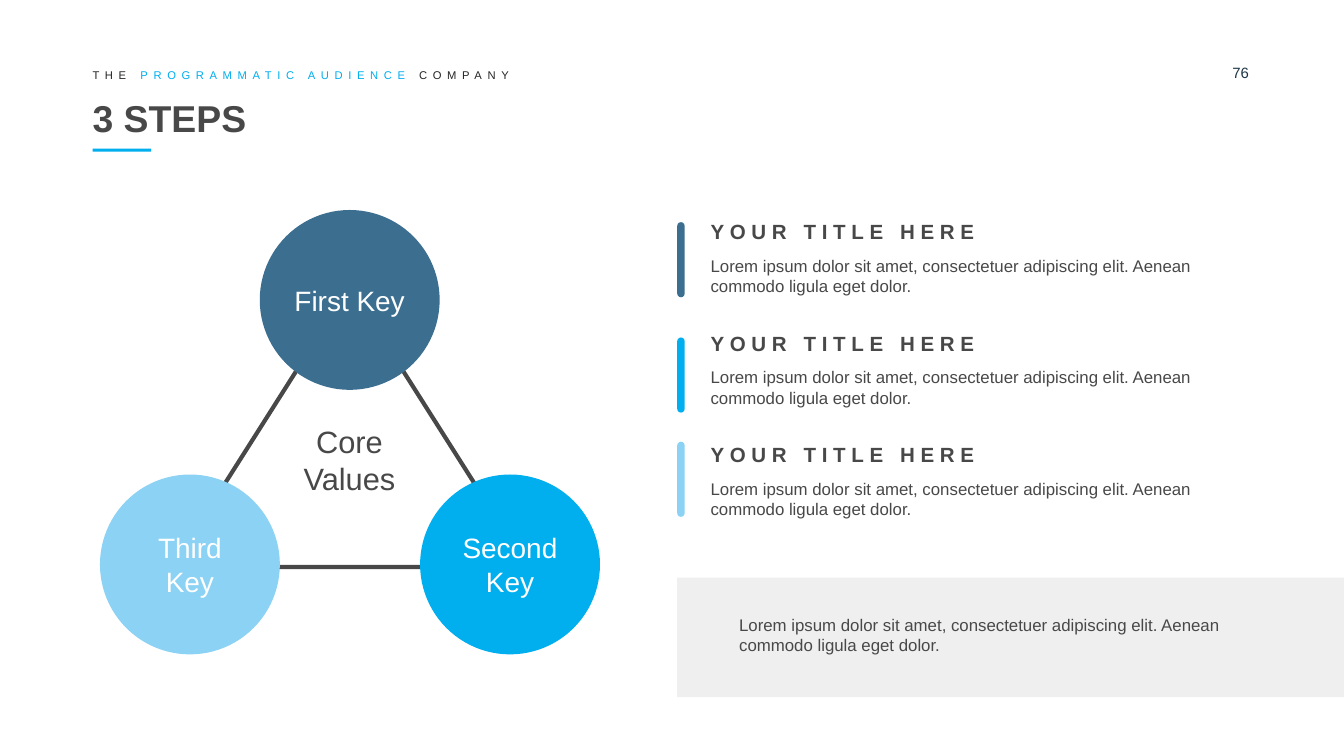
from pptx import Presentation
from pptx.dml.color import RGBColor
from pptx.enum.shapes import MSO_SHAPE
from pptx.enum.text import MSO_ANCHOR, PP_ALIGN
from pptx.oxml.ns import qn
from pptx.util import Cm, Pt
from lxml import etree

RECTANGLE = MSO_SHAPE.RECTANGLE
BAR = MSO_SHAPE.ROUND_2_SAME_RECTANGLE
TRIANGLE = MSO_SHAPE.ISOSCELES_TRIANGLE
OVAL = MSO_SHAPE.OVAL
TOP, MIDDLE = MSO_ANCHOR.TOP, MSO_ANCHOR.MIDDLE
LEFT, CENTER = PP_ALIGN.LEFT, PP_ALIGN.CENTER

FONT = "Arial"
NAVY, CYAN, SKY = "3B6E8F", "01AEEE", "8BD2F4"
DARK, BLACK, WHITE = "484848", "242424", "FFFFFF"
LOREM = ("Lorem ipsum dolor sit amet, consectetuer adipiscing elit. "
         "Aenean commodo ligula eget dolor.")
NO_INSETS = (0, 0, 0, 0)
BOX_INSETS = (0.25, 0.13, 0.25, 0.13)


def rgb(color):
    return RGBColor.from_string(color)


def space_letters(run, points):
    run._r.get_or_add_rPr().set("spc", str(points * 100))


class SlideBuilder:
    def __init__(self, slide):
        self.slide = slide

    def shape(self, kind, left, top, width, height, fill=None, opacity=None, line=None):
        shape = self.slide.shapes.add_shape(
            kind, Cm(left), Cm(top), Cm(width), Cm(height))
        shape.shadow.inherit = False
        if fill:
            shape.fill.solid()
            shape.fill.fore_color.rgb = rgb(fill)
        else:
            shape.fill.background()
        if opacity:
            color = shape.element.find(".//" + qn("a:srgbClr"))
            etree.SubElement(color, qn("a:alpha"), val=str(opacity * 1000))
        if line:
            shape.line.color.rgb = rgb(line)
            shape.line.width = Pt(2.25)
        else:
            shape.line.fill.background()
        return shape

    def set_text(self, shape, lines, size, color=DARK, bold=False, align=LEFT,
                 anchor=TOP, insets=NO_INSETS, wrap=True, spacing=0):
        frame = shape.text_frame
        frame.word_wrap = wrap
        frame.vertical_anchor = anchor
        (frame.margin_left, frame.margin_top,
         frame.margin_right, frame.margin_bottom) = map(Cm, insets)
        frame.text = "\n".join(lines)
        for paragraph in frame.paragraphs:
            paragraph.alignment = align
            paragraph.font.name = FONT
            paragraph.font.size = Pt(size)
            paragraph.font.bold = bold
            paragraph.font.color.rgb = rgb(color)
            if spacing:
                for run in paragraph.runs:
                    space_letters(run, spacing)

    def text(self, left, top, width, height, content, size, **style):
        box = self.slide.shapes.add_textbox(Cm(left), Cm(top), Cm(width), Cm(height))
        self.set_text(box, [content], size, **style)
        return box

    def tagline(self, left, top, width, height, parts):
        box = self.text(left, top, width, height, "", 6, color=BLACK, anchor=MIDDLE)
        for content, color in parts:
            run = box.text_frame.paragraphs[0].add_run()
            run.text = content
            run.font.color.rgb = rgb(color)
            space_letters(run, 3)

    def circle(self, left, top, fill, lines):
        circle = self.shape(OVAL, left, top, 3.4, 3.4, fill)
        self.set_text(circle, lines, 15, color=WHITE, align=CENTER, anchor=MIDDLE)

    def step(self, top, bar_top, color):
        bar = self.shape(BAR, 12.8, bar_top, 0.14, 1.42, color)
        bar.adjustments[0] = bar.adjustments[1] = 0.5
        self.text(13.18, top, 5.64, 0.74, "YOUR TITLE HERE", 11, bold=True,
                  insets=BOX_INSETS, wrap=False, spacing=3)
        self.text(13.18, top + 0.69, 9.9, 1.02, LOREM, 9, insets=BOX_INSETS)


def main():
    presentation = Presentation()
    presentation.slide_width = Cm(25.4)
    presentation.slide_height = Cm(14.29)
    builder = SlideBuilder(presentation.slides.add_slide(presentation.slide_layouts[6]))

    builder.tagline(1.75, 1.3, 18.2, 0.25, [
        ("THE ", BLACK), ("PROGRAMMATIC AUDIENCE ", CYAN), ("COMPANY", BLACK)])
    builder.text(1.75, 1.75, 21.9, 0.95, "3 STEPS", 20, bold=True, anchor=MIDDLE)
    builder.shape(RECTANGLE, 1.75, 2.81, 1.11, 0.06, CYAN)
    builder.text(23.29, 1.2, 1.09, 0.4, "76", 8, color="1D3647")

    builder.shape(TRIANGLE, 3.25, 5.42, 6.72, 5.3, line=DARK)
    builder.circle(1.89, 8.97, SKY, ["Third", "Key"])
    builder.circle(7.94, 8.97, CYAN, ["Second", "Key"])
    builder.circle(4.91, 3.97, NAVY, ["First Key"])
    builder.text(5.23, 7.98, 2.75, 1.42, "Core Values", 16.5, align=CENTER, anchor=MIDDLE)

    for index, (bar_top, color) in enumerate([(4.2, NAVY), (6.38, CYAN), (8.35, SKY)]):
        builder.step(4.01 + 2.11 * index, bar_top, color)

    builder.shape(RECTANGLE, 12.8, 10.92, 12.6, 2.26, "D9D9D9", opacity=40)
    builder.text(13.79, 11.15, 10.6, 1.7, LOREM, 9, anchor=MIDDLE, insets=(0.18, 0, 0, 0))

    presentation.save("out.pptx")


if __name__ == "__main__":
    main()
